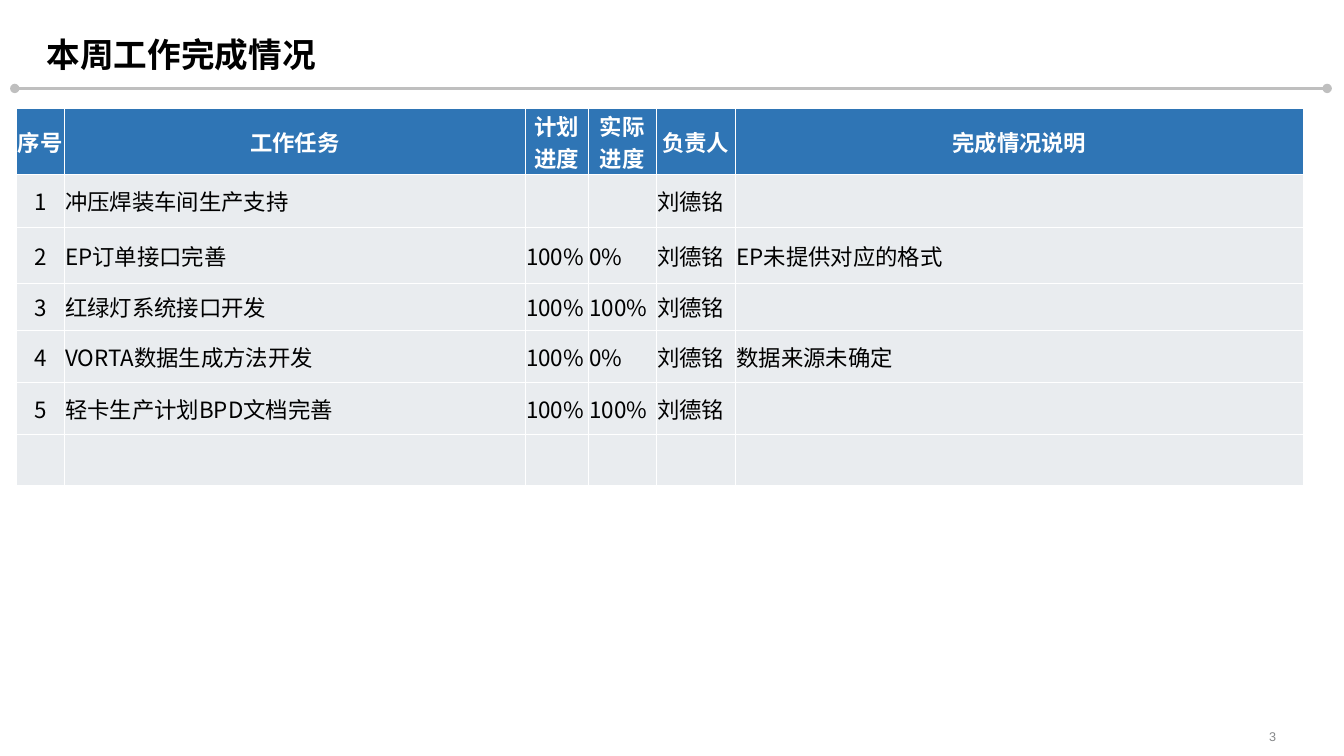
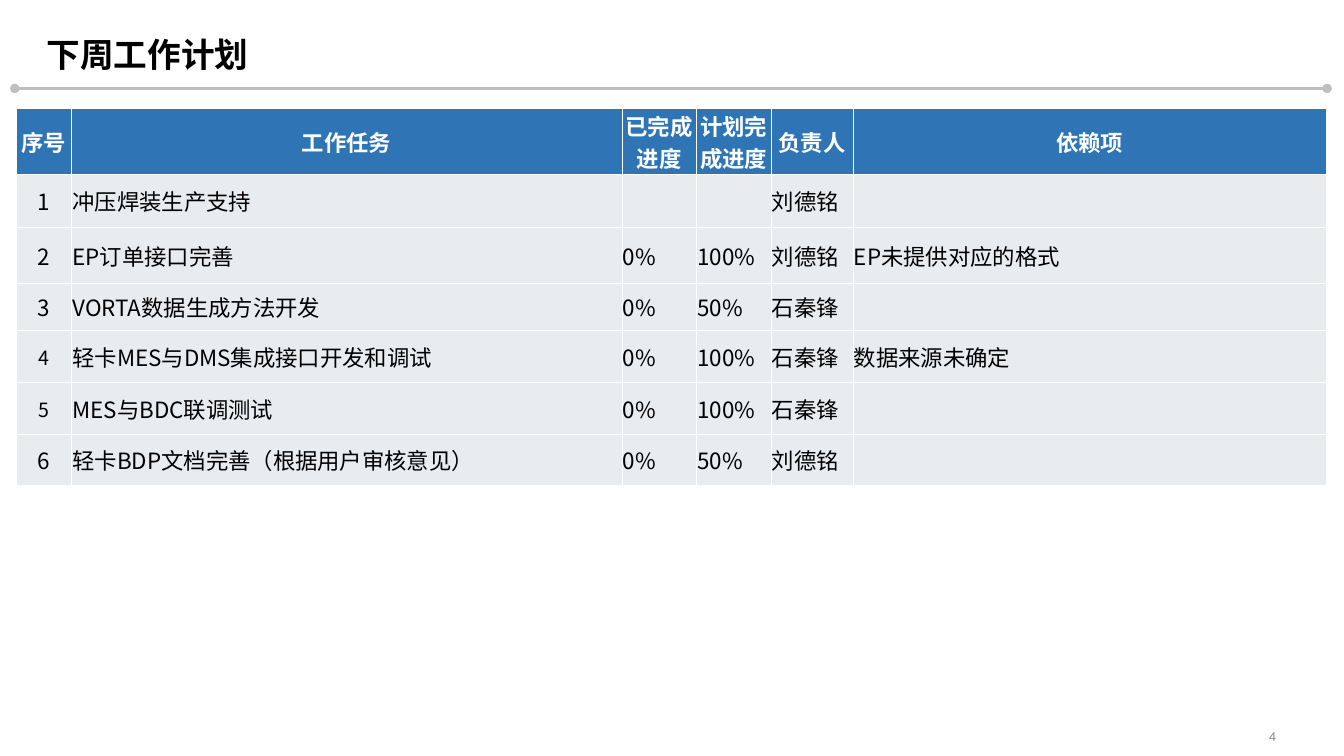
import pptx
import pptx.dml.color
import pptx.enum.shapes
import pptx.enum.text
import pptx.oxml
import pptx.oxml.ns
import pptx.util

WIDTH = pptx.util.Inches(13.33)
HEIGHT = pptx.util.Inches(7.5)
CJK_FONT = "Noto Sans CJK SC"
NUMBER_FONT = "Arial"
BLACK, WHITE = "000000", "FFFFFF"
HEADER_BLUE, ROW_GRAY = "2F75B5", "E9ECEF"
RULE_GRAY, NUMBER_GRAY = "BFBFBF", "858789"
ROW_HEIGHTS = [8.5, 7.02, 7.4, 6.24, 6.86, 6.86, 6.86, 4.95]

ALIGN = pptx.enum.text.PP_ALIGN
ANCHOR = pptx.enum.text.MSO_ANCHOR

THIS_WEEK = [
    ["序号", "工作任务", "计划进度", "实际进度", "负责人", "完成情况说明"],
    ["1", "冲压焊装车间生产支持", "", "", "刘德铭", ""],
    ["2", "EP订单接口完善", "100%", "0%", "刘德铭", "EP未提供对应的格式"],
    ["3", "红绿灯系统接口开发", "100%", "100%", "刘德铭", ""],
    ["4", "VORTA数据生成方法开发", "100%", "0%", "刘德铭", "数据来源未确定"],
    ["5", "轻卡生产计划BPD文档完善", "100%", "100%", "刘德铭", ""],
    [""] * 6,
    [""] * 6,
]
NEXT_WEEK = [
    ["序号", "工作任务", "已完成进度", "计划完成进度", "负责人", "依赖项"],
    ["1", "冲压焊装生产支持", "", "", "刘德铭", ""],
    ["2", "EP订单接口完善", "0%", "100%", "刘德铭", "EP未提供对应的格式"],
    ["3", "VORTA数据生成方法开发", "0%", "50%", "石秦锋", ""],
    ["4", "轻卡MES与DMS集成接口开发和调试", "0%", "100%", "石秦锋", "数据来源未确定"],
    ["5", "MES与BDC联调测试", "0%", "100%", "石秦锋", ""],
    ["6", "轻卡BDP文档完善（根据用户审核意见）", "0%", "50%", "刘德铭", ""],
    [""] * 6,
]


def color(hex_string):
    return pptx.dml.color.RGBColor.from_string(hex_string)


def across(percent):
    return round(WIDTH * percent / 100)


def down(percent):
    return round(HEIGHT * percent / 100)


def write(frame, text, size, hex_color, align, bold=False, font=CJK_FONT):
    frame.text = text
    paragraph = frame.paragraphs[0]
    paragraph.alignment = align
    for run in paragraph.runs:
        run.font.size = pptx.util.Pt(size)
        run.font.bold = bold
        run.font.name = font
        run.font.color.rgb = color(hex_color)
        east_asian = pptx.oxml.parse_xml(
            f'<a:ea {pptx.oxml.ns.nsdecls("a")} typeface="{font}"/>')
        run.font._element.find(pptx.oxml.ns.qn("a:latin")).addnext(east_asian)


def set_frame(frame, anchor, bottom=0):
    frame.word_wrap = True
    frame.auto_size = pptx.enum.text.MSO_AUTO_SIZE.NONE
    frame.vertical_anchor = anchor
    frame.margin_left = frame.margin_right = frame.margin_top = 0
    frame.margin_bottom = bottom


def add_title(slide, text):
    title = slide.shapes.title
    title.left, title.top = across(3.48), 0
    title.width, title.height = across(93.1), down(10.9)
    set_frame(title.text_frame, ANCHOR.BOTTOM, pptx.util.Inches(0.08))
    write(title.text_frame, text, 24, BLACK, ALIGN.LEFT, bold=True)


def add_title_rule(slide):
    rule = slide.shapes.add_connector(
        pptx.enum.shapes.MSO_CONNECTOR.STRAIGHT,
        across(1.1), down(11.7), across(98.75), down(11.7))
    rule.line.color.rgb = color(RULE_GRAY)
    rule.line.width = pptx.util.Pt(2.25)
    namespace = pptx.oxml.ns.nsdecls("a")
    outline = rule.line._get_or_add_ln()
    for end in ("headEnd", "tailEnd"):
        outline.append(pptx.oxml.parse_xml(f'<a:{end} {namespace} type="oval"/>'))
    rule._element.spPr.append(pptx.oxml.parse_xml(f"<a:effectLst {namespace}/>"))


def add_page_number(slide, number):
    page = slide.shapes.add_textbox(across(89.1), down(95.65), across(5.85), down(3.6))
    set_frame(page.text_frame, ANCHOR.MIDDLE)
    write(page.text_frame, str(number), 9, NUMBER_GRAY, ALIGN.RIGHT, font=NUMBER_FONT)


def add_borders(cell, sides):
    properties = cell._tc.get_or_add_tcPr()
    for side in sides:
        properties.append(pptx.oxml.parse_xml(
            f'<a:ln{side} {pptx.oxml.ns.nsdecls("a")} w="{pptx.util.Pt(0.5)}">'
            f'<a:solidFill><a:srgbClr val="{WHITE}"/></a:solidFill></a:ln{side}>'))


def style_cell(cell, fill):
    cell.margin_left = cell.margin_right = cell.margin_top = pptx.util.Inches(0.01)
    cell.margin_bottom = 0
    cell.vertical_anchor = ANCHOR.MIDDLE
    add_borders(cell, "LRTB" if fill else "T")
    if fill:
        cell.fill.solid()
        cell.fill.fore_color.rgb = color(fill)
    else:
        cell.fill.background()


def add_task_table(slide, tasks, column_widths, small_numbers):
    table = slide.shapes.add_table(
        len(tasks), len(column_widths), across(1.22), down(14.35),
        across(sum(column_widths)), down(sum(ROW_HEIGHTS))).table
    table.first_row = table.horz_banding = False
    for column, width in zip(table.columns, column_widths):
        column.width = across(width)
    for row, height in zip(table.rows, ROW_HEIGHTS):
        row.height = down(height)
    last = len(tasks) - 1
    for r, task in enumerate(tasks):
        header = r == 0
        fill = HEADER_BLUE if header else None if r == last else ROW_GRAY
        for c, text in enumerate(task):
            cell = table.cell(r, c)
            style_cell(cell, fill)
            write(cell.text_frame, text,
                  14 if c == 0 and text in small_numbers else 16,
                  WHITE if header else BLACK,
                  ALIGN.CENTER if header or c == 0 else ALIGN.LEFT, bold=header)


def add_report_slide(deck, number, title, tasks, column_widths, small_numbers=()):
    slide = deck.slides.add_slide(deck.slide_layouts.get_by_name("Title Only"))
    add_page_number(slide, number)
    add_title_rule(slide)
    add_title(slide, title)
    add_task_table(slide, tasks, column_widths, small_numbers)


def main():
    deck = pptx.Presentation()
    deck.slide_width, deck.slide_height = WIDTH, HEIGHT
    add_report_slide(deck, 3, "本周工作完成情况", THIS_WEEK,
                     [3.56, 34.3, 4.7, 5.05, 5.9, 42.25])
    add_report_slide(deck, 4, "下周工作计划", NEXT_WEEK,
                     [4.1, 40.95, 5.55, 5.55, 6.1, 35.2], small_numbers=("4", "5"))
    deck.save("out.pptx")


if __name__ == "__main__":
    main()
